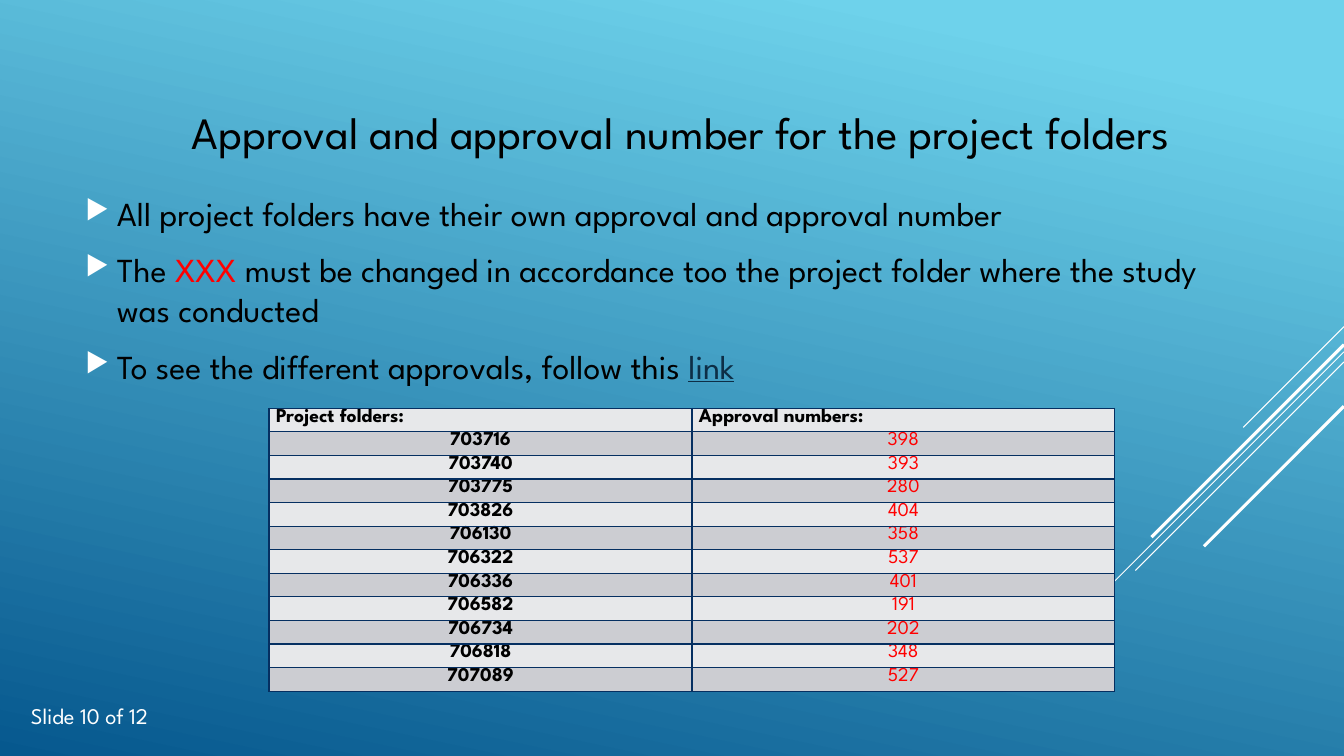
import pptx
import pptx.util
import pptx.dml.color
import pptx.enum.shapes
import pptx.enum.text
import pptx.oxml
import pptx.oxml.ns
from lxml import etree

Pt = pptx.util.Pt
ALIGN = pptx.enum.text.PP_ALIGN
ANCHOR = pptx.enum.text.MSO_ANCHOR
FONT = "League Spartan"
COLORS = {
    "sky": "6ED2EB",
    "deep": "06588E",
    "white": "FFFFFF",
    "black": "000000",
    "red": "FF0000",
    "link": "0D2E46",
    "border": "052F61",
    "light_row": "E7E8EA",
    "dark_row": "CCCDD2",
}
SLIDE_W, SLIDE_H = 960, 540
RAYS = [
    (233.3, 72, 0.75),
    (251.3, 234.7, 0.75),
    (258.5, 149, 0.75),
    (246.2, 137.5, 2.25),
    (290.2, 100, 2.25),
]
BULLETS = [
    [("All project folders have their own approval and approval number", {})],
    [
        ("The ", {}),
        ("XXX", {"color": "red"}),
        (" must be changed in accordance too the project folder "
         "where the study was conducted", {}),
    ],
    [
        ("To see the different approvals, follow this ", {}),
        ("link", {"color": "link", "underline": True}),
    ],
]
HEADERS = ("Project folders:", "Approval numbers:")
APPROVALS = [
    ("703716", "398"),
    ("703740", "393"),
    ("703775", "280"),
    ("703826", "404"),
    ("706130", "358"),
    ("706322", "537"),
    ("706336", "401"),
    ("706582", "191"),
    ("706734", "202"),
    ("706818", "348"),
    ("707089", "527"),
]


def rgb(name):
    return pptx.dml.color.RGBColor.from_string(COLORS[name])


def add_xml(parent, tag, **attrs):
    return etree.SubElement(parent, pptx.oxml.ns.qn(tag), attrs)


def set_attrs(obj, values):
    for name, value in values.items():
        setattr(obj, name, value)


def add_run(p, text, size, color="black", **font):
    r = p.add_run()
    r.text = text
    set_attrs(r.font, {"name": FONT, "size": Pt(size), **font})
    r.font.color.rgb = rgb(color)


def set_background(s):
    fill = s.background.fill
    fill.gradient()
    fill.gradient_angle = 258
    stops = [("sky", 0.1), ("deep", 1)]
    for stop, (color, position) in zip(fill.gradient_stops, stops):
        stop.color.rgb = rgb(color)
        stop.position = position


def add_ray(s, top, length, width):
    line = s.shapes.add_connector(
        pptx.enum.shapes.MSO_CONNECTOR.STRAIGHT,
        Pt(SLIDE_W), Pt(top), Pt(SLIDE_W - length), Pt(top + length))
    line.line.color.rgb = rgb("white")
    line.line.width = Pt(width)
    add_xml(line._element.spPr, "a:effectLst")


def add_text(s, box, paragraphs, size, anchor=ANCHOR.TOP, align=ALIGN.LEFT,
             bullets=False):
    tf = s.shapes.add_textbox(*map(Pt, box)).text_frame
    set_attrs(tf, {"word_wrap": True, "vertical_anchor": anchor})
    for i, runs in enumerate(paragraphs):
        p = tf.add_paragraph() if i else tf.paragraphs[0]
        set_attrs(p, {"alignment": align, "space_before": Pt(5.4),
                      "space_after": Pt(6)})
        if bullets:
            add_bullet(p)
        for text, fmt in runs:
            add_run(p, text, size, **fmt)


def add_bullet(p):
    pPr = p._p.get_or_add_pPr()
    pPr.set("marL", str(Pt(22.5)))
    pPr.set("indent", str(-Pt(22.5)))
    add_xml(add_xml(pPr, "a:buClr"), "a:srgbClr", val=COLORS["white"])
    add_xml(pPr, "a:buSzPct", val="80000")
    add_xml(pPr, "a:buChar", char="▶")


def add_borders(cell):
    tcPr = cell._tc.get_or_add_tcPr()
    for i, side in enumerate("LRTB"):
        ln = add_xml(tcPr, f"a:ln{side}", w=str(Pt(1)))
        fill = add_xml(ln, "a:solidFill")
        add_xml(fill, "a:srgbClr", val=COLORS["border"])
        tcPr.insert(i, ln)


def fill_cell(cell, text, row_color, align, **fmt):
    set_attrs(cell, {"margin_left": Pt(5), "margin_right": Pt(5),
                     "margin_top": 0, "margin_bottom": 0})
    cell.fill.solid()
    cell.fill.fore_color.rgb = rgb(row_color)
    add_borders(cell)
    p = cell.text_frame.paragraphs[0]
    p.alignment = align
    add_run(p, text, 14, **fmt)


def add_approval_table(s, left, top, width, height):
    rows = [HEADERS] + APPROVALS
    table = s.shapes.add_table(
        len(rows), 2, Pt(left), Pt(top), Pt(width), Pt(height)).table
    set_attrs(table, {"first_row": False, "horz_banding": False})
    for row in table.rows:
        row.height = Pt(height / len(rows))
    for i, values in enumerate(rows):
        row_color = "dark_row" if i % 2 else "light_row"
        align = ALIGN.CENTER if i else ALIGN.LEFT
        for j, text in enumerate(values):
            is_number = i > 0 and j == 1
            fill_cell(table.cell(i, j), text, row_color, align,
                      color="red" if is_number else "black",
                      bold=not is_number)


def main():
    prs = pptx.Presentation()
    set_attrs(prs, {"slide_width": Pt(SLIDE_W), "slide_height": Pt(SLIDE_H)})
    s = prs.slides.add_slide(prs.slide_layouts[6])
    set_background(s)
    for ray in RAYS:
        add_ray(s, *ray)
    title = "Approval and approval number for the project folders "
    add_text(s, (54, 54, 873.4, 80), [[(title, {})]], 32,
             anchor=ANCHOR.MIDDLE, align=ALIGN.CENTER)
    add_text(s, (54, 134, 847.4, 191.5), BULLETS, 24, bullets=True)
    add_text(s, (15, 498.2, 129.6, 33),
             [[("Slide 10 of 12", {"color": "white"})]], 16)
    add_approval_table(s, 192.2, 291.6, 604.2, 201)
    prs.save("out.pptx")


if __name__ == "__main__":
    main()
